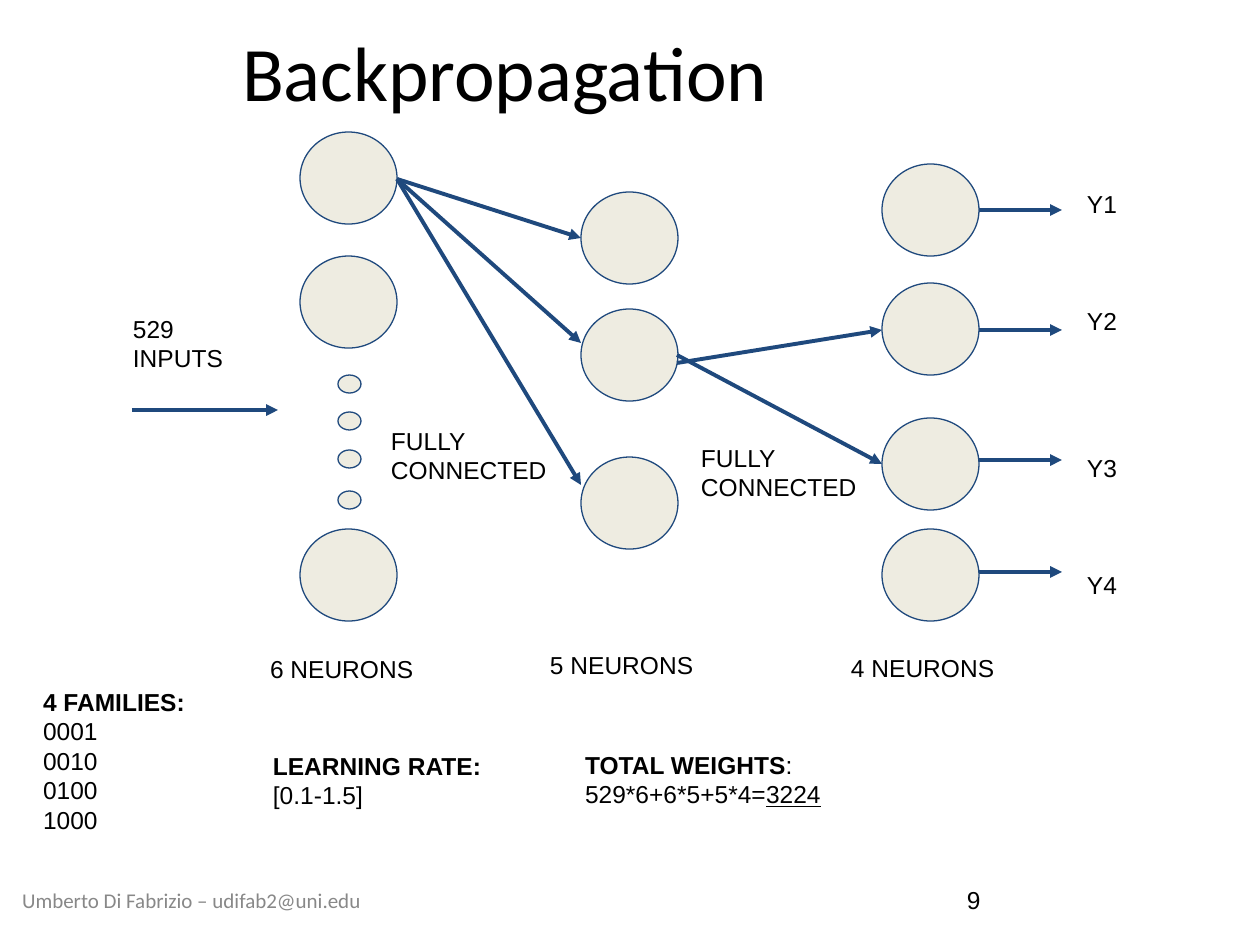
import pptx
import pptx.dml.color
import pptx.enum.shapes
import pptx.enum.text
import pptx.oxml
import pptx.oxml.ns
import pptx.util

RGB = pptx.dml.color.RGBColor
ALIGN = pptx.enum.text.PP_ALIGN
ANCHOR = pptx.enum.text.MSO_ANCHOR
SHAPE = pptx.enum.shapes.MSO_SHAPE
LINE = pptx.enum.shapes.MSO_CONNECTOR

BLACK = RGB(0x00, 0x00, 0x00)
GREY = RGB(0x88, 0x88, 0x88)
NAVY = RGB(0x1F, 0x49, 0x7D)
CREAM = RGB(0xEE, 0xEC, 0xE1)
PX = 914400 / 126

# Content: lengths in px
TITLE = ("Backpropagation", (30, 32, 950, 77))
FOOTER = ("Umberto Di Fabrizio – udifab2@uni.edu", (0, 862, 383, 77))
PAGE = ("9", (954, 875, 294, 50))

NEURON = (97, 92)
DOT = (23, 18)
INPUT_X, HIDDEN_X, OUTPUT_X = 300, 581, 882
LAYERS = [
    (INPUT_X, (132, 256, 529), NEURON),
    (HIDDEN_X, (192, 309, 457), NEURON),
    (OUTPUT_X, (164, 283, 418, 529), NEURON),
    (338, (375, 412, 450, 491), DOT),
]

INPUT_ARROW = (132, 410, 278, 410)
FIRST_TARGETS = (238, 343, 485)
SECOND_LINKS = [(355, 464), (363, 330)]
OUTPUT_YS = (210, 330, 460, 572)

OUTPUT_LABELS = ["Y1", "Y2", "Y3", "Y4"]
OUTPUT_GAPS = (0, 88, 118, 88)
OUTPUT_BOX = (1074, 176, 73, 432)

# Each paragraph is a list of (text, format) runs
BOLD, PLAIN, UNDER = {"bold": True}, {}, {"underline": True}
NOTES = [
    ((120, 301, 152, 59), [[("529 INPUTS", PLAIN)]]),
    ((257, 641, 184, 33), [[("6 NEURONS", PLAIN)]]),
    ((537, 637, 184, 33), [[("5 NEURONS", PLAIN)]]),
    ((838, 640, 184, 33), [[("4 NEURONS", PLAIN)]]),
    ((378, 413, 184, 92), [[("FULLY CONNECTED", PLAIN)]]),
    ((688, 430, 184, 92), [[("FULLY CONNECTED", PLAIN)]]),
    ((30, 674, 184, 164),
     [[("4 FAMILIES:", BOLD)]]
     + [[(code, PLAIN)] for code in ("0001", "0010", "0100", "1000")]),
    ((260, 738, 237, 141),
     [[("LEARNING RATE:", BOLD)], [("[0.1-1.5]", PLAIN)]]),
    ((572, 737, 475, 59),
     [[("TOTAL WEIGHTS", BOLD), (": 529*6+6*5+5*4=", PLAIN), ("3224", UNDER)]]),
]


def emu(*lengths):
    return [round(n * PX) for n in lengths]


def write(sp, paragraphs, size=14, font="Arial", color=BLACK,
          align=ALIGN.LEFT, anchor=ANCHOR.TOP, inset=13):
    tf = sp.text_frame
    side, edge = emu(13, inset)
    frame = {"word_wrap": True, "auto_size": pptx.enum.text.MSO_AUTO_SIZE.NONE,
             "vertical_anchor": anchor, "margin_left": side,
             "margin_right": side, "margin_top": edge, "margin_bottom": edge}
    for name, value in frame.items():
        setattr(tf, name, value)
    for i, runs in enumerate(paragraphs):
        p = tf.add_paragraph() if i else tf.paragraphs[0]
        p.alignment = align
        for text, extra in runs:
            r = p.add_run()
            r.text = text
            base = {"size": pptx.util.Pt(size), "name": font, "bold": False}
            for name, value in {**base, **extra}.items():
                setattr(r.font, name, value)
            r.font.color.rgb = color
    return tf


def add_text(s, box, paragraphs, **style):
    return write(s.shapes.add_textbox(*emu(*box)), paragraphs, **style)


def add_neuron(s, x, y, size):
    sp = s.shapes.add_shape(SHAPE.OVAL, *emu(x, y, *size))
    sp.shadow.inherit = False
    sp.fill.solid()
    sp.fill.fore_color.rgb = CREAM
    sp.line.color.rgb = NAVY
    sp.line.width = pptx.util.Pt(0.75)


def add_arrow(s, *ends):
    line = s.shapes.add_connector(LINE.STRAIGHT, *emu(*ends))
    line.line.color.rgb = NAVY
    line.line.width = pptx.util.Pt(2.25)
    qn, sub = pptx.oxml.ns.qn, pptx.oxml.xmlchemy.OxmlElement
    head = sub("a:tailEnd")
    head.set("type", "triangle")
    props = line.element.find(qn("p:spPr"))
    props.find(qn("a:ln")).append(head)
    props.append(sub("a:effectLst"))


def main():
    prs = pptx.Presentation()
    prs.slide_width = pptx.util.Inches(10)
    prs.slide_height = pptx.util.Inches(7.5)
    s = prs.slides.add_slide(prs.slide_layouts[5])

    # Title, footer and page number
    text, box = TITLE
    title = s.shapes.title
    title.left, title.top, title.width, title.height = emu(*box)
    write(title, [[(text, PLAIN)]], size=44, font="Calibri",
          align=ALIGN.CENTER, anchor=ANCHOR.MIDDLE)
    text, box = FOOTER
    add_text(s, box, [[(text, PLAIN)]], size=12, font="Calibri", color=GREY,
             align=ALIGN.CENTER, anchor=ANCHOR.MIDDLE)
    text, box = PAGE
    add_text(s, box, [[(text, PLAIN)]], anchor=ANCHOR.MIDDLE, inset=6)

    # Neurons and the dots between them
    for x, tops, size in LAYERS:
        for y in tops:
            add_neuron(s, x, y, size)

    # Arrows between the layers
    width = NEURON[0]
    add_arrow(s, *INPUT_ARROW)
    for y in FIRST_TARGETS:
        add_arrow(s, INPUT_X + width, 179, HIDDEN_X, y)
    for start, end in SECOND_LINKS:
        add_arrow(s, HIDDEN_X + width - 1, start, OUTPUT_X, end)
    for y in OUTPUT_YS:
        add_arrow(s, OUTPUT_X + width, y, 1062, y)

    # Output labels, set apart by paragraph spacing
    tf = add_text(s, OUTPUT_BOX, [[(label, PLAIN)] for label in OUTPUT_LABELS])
    for p, gap in zip(tf.paragraphs, OUTPUT_GAPS):
        p.space_before = pptx.util.Pt(round(gap * 72 / 126))

    # Captions and notes
    for box, paragraphs in NOTES:
        add_text(s, box, paragraphs)

    prs.save("out.pptx")


if __name__ == "__main__":
    main()
